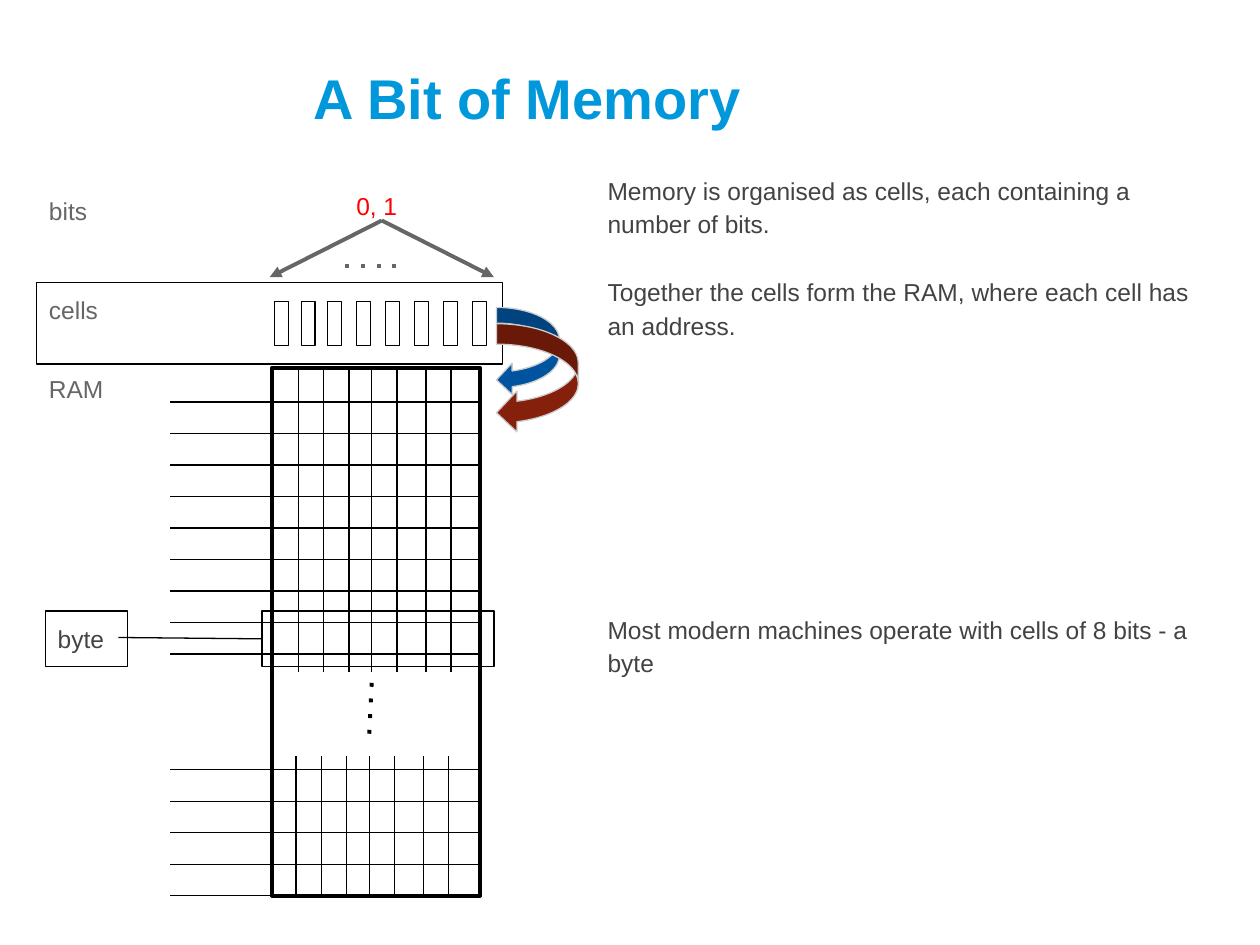
from lxml import etree
from pptx import Presentation
from pptx.dml.color import RGBColor
from pptx.enum.shapes import MSO_CONNECTOR, MSO_SHAPE
from pptx.enum.text import MSO_ANCHOR, MSO_AUTO_SIZE, PP_ALIGN
from pptx.oxml.ns import qn
from pptx.util import Pt

RECTANGLE, CURVED_ARROW = MSO_SHAPE.RECTANGLE, MSO_SHAPE.CURVED_LEFT_ARROW
STRAIGHT = MSO_CONNECTOR.STRAIGHT
TOP, BOTTOM = MSO_ANCHOR.TOP, MSO_ANCHOR.BOTTOM
LEFT = PP_ALIGN.LEFT
NO_AUTOFIT = MSO_AUTO_SIZE.NONE

COLORS = {
    "title": "0098DB", "body": "434343", "label": "666666", "values": "FF0000",
    "black": "000000", "blue": "00549F", "red": "85200C", "edge": "CCCCCC",
}

# Content: boxes are left, top, width, height in points
TITLE = ("A Bit of Memory", (172, 32.4, 538.6, 46))
BODY_BOX = (340, 90.7, 350, 428.4)
BODY = [  # text, space before
    ("Memory is organised as cells, each containing a number of bits.", 0),
    ("Together the cells form the RAM, where each cell has an address.", 19.3),
    ("Most modern machines operate with cells of 8 bits - a byte", 154.3),
]
LABELS = [
    ("0, 1", (196.5, 105.8, 59, 26.6), "values"),
    ("bits", (20.9, 108.7, 82, 26.6), "label"),
    ("RAM", (20.9, 210.2, 72, 31), "label"),
]
CELL_BOX = (20.9, 161.3, 266.4, 46.8)
BIT_LEFTS = [157, 172.1, 187.2, 203.8, 220.3, 236.9, 253.4, 270]
BIT_TOP, BIT_WIDTH, BIT_HEIGHT = 172.1, 7.9, 25.2
FAN_APEX, FAN_SPREAD, FAN_BOTTOM = (218.2, 126), 64.1, 158.4

RAM_BOX = (155.5, 210.2, 118.8, 301.7)
ROW_LEFT, ROW_PITCH = 97.2, 18
ROW_BLOCKS = [(229.7, 9), (439.9, 5)]  # first row, number of rows
COLUMNS = [170.6, 185, 199.4, 212.4, 226.8, 243.4, 257.8]
COLUMN_BLOCKS = [(0, 211.7, 383.8), (-1.4, 432, 512.6)]  # shift, top, bottom

CURVED_ARROWS = [
    ((283.7, 175.7, 36, 50.4), "blue"),
    ((283.7, 185, 46.8, 62.6), "red"),
]
BYTE_ROW = (149.8, 349.2, 132.5, 31.7)
BYTE_LABEL = (25.9, 349.2, 46.8, 31.7)
BYTE_LINE_END = (67.7, 364.3)


def rgb(name):
    return RGBColor.from_string(COLORS[name])


def points(values):
    return [Pt(value) for value in values]


def place(shape, box):
    shape.left, shape.top, shape.width, shape.height = points(box)


def write(shape, *paragraphs, size=14, color="body", bold=False, inset=3.6,
          anchor=TOP, line_spacing=1.0):
    """Fill a shape with (text, space before) paragraphs."""
    frame = shape.text_frame
    frame.word_wrap = True
    frame.auto_size = NO_AUTOFIT
    frame.vertical_anchor = anchor
    frame.margin_left = frame.margin_right = Pt(7.2)
    frame.margin_top = frame.margin_bottom = Pt(inset)
    for index, (text, space) in enumerate(paragraphs):
        paragraph = frame.add_paragraph() if index else frame.paragraphs[0]
        paragraph.alignment = LEFT
        paragraph.line_spacing = line_spacing
        paragraph.space_before, paragraph.space_after = Pt(space), Pt(0)
        run = paragraph.add_run()
        run.text = text
        run.font.name, run.font.size, run.font.bold = "Arial", Pt(size), bold
        run.font.color.rgb = rgb(color)


def add_box(shapes, box, kind=RECTANGLE, fill=None, line="black", weight=0.75):
    shape = shapes.add_shape(kind, *points(box))
    shape.shadow.inherit = False
    if fill:
        shape.fill.solid()
        shape.fill.fore_color.rgb = rgb(fill)
    else:
        shape.fill.background()
    shape.line.color.rgb = rgb(line)
    shape.line.width = Pt(weight)
    return shape


def add_line(shapes, start, end, color="black", weight=0.75, dotted=False, arrow=False):
    line = shapes.add_connector(STRAIGHT, *points((*start, *end)))
    line.line.color.rgb = rgb(color)
    line.line.width = Pt(weight)
    properties = line._element.spPr
    outline = properties.find(qn("a:ln"))
    if dotted:
        etree.SubElement(outline, qn("a:prstDash"), val="dot")
    if arrow:
        etree.SubElement(outline, qn("a:tailEnd"), type="triangle")
    etree.SubElement(properties, qn("a:effectLst"))
    return line


presentation = Presentation()
presentation.slide_width, presentation.slide_height = Pt(720), Pt(540)
slide = presentation.slides.add_slide(presentation.slide_layouts[1])
shapes = slide.shapes

# Title and explanation
title, body = shapes.title, slide.placeholders[1]
place(title, TITLE[1])
write(title, (TITLE[0], 0), size=32, color="title", bold=True, anchor=BOTTOM)
place(body, BODY_BOX)
write(body, *BODY, inset=7.2, line_spacing=1.15)
for paragraph in body.text_frame.paragraphs:
    settings = paragraph._p.get_or_add_pPr()
    settings.set("marL", "0")
    settings.set("indent", "0")
    etree.SubElement(settings, qn("a:buNone"))

# Labels
for text, box, color in LABELS:
    write(shapes.add_textbox(*points(box)), (text, 0), color=color)

# Arrows from the bit values to the bits
fan = shapes.add_group_shape().shapes
apex_x, apex_y = FAN_APEX
for side in (-1, 1):
    add_line(fan, FAN_APEX, (apex_x + side * FAN_SPREAD, FAN_BOTTOM),
             color="label", weight=2.25, arrow=True)
add_line(fan, (197.3, 151.9), (229.7, 151.9), color="label", weight=2.25, dotted=True)

# One cell with its bits
write(add_box(shapes, CELL_BOX), ("cells", 0), color="label", inset=7.2)
for left in BIT_LEFTS:
    add_box(shapes, (left, BIT_TOP, BIT_WIDTH, BIT_HEIGHT))

# RAM grid
add_box(shapes, RAM_BOX, weight=2.25)
row_right = RAM_BOX[0] + RAM_BOX[2]
for first, count in ROW_BLOCKS:
    for index in range(count):
        y = first + index * ROW_PITCH
        add_line(shapes, (ROW_LEFT, y), (row_right, y))
for shift, top, bottom in COLUMN_BLOCKS:
    group = shapes.add_group_shape().shapes
    for x in COLUMNS:
        add_line(group, (x + shift, top), (x + shift, bottom))
add_line(shapes, (212.4, 390.2), (211, 419.8), weight=2.25, dotted=True)

# Curved arrows from the cell into the RAM
for box, color in CURVED_ARROWS:
    add_box(shapes, box, kind=CURVED_ARROW, fill=color, line="edge")

# Byte marker
byte_row = add_box(shapes, BYTE_ROW)
byte_line = add_line(shapes, BYTE_ROW[:2], BYTE_LINE_END)
byte_line.begin_connect(byte_row, 1)
write(add_box(shapes, BYTE_LABEL), ("byte", 0), inset=7.2)

presentation.save("out.pptx")
